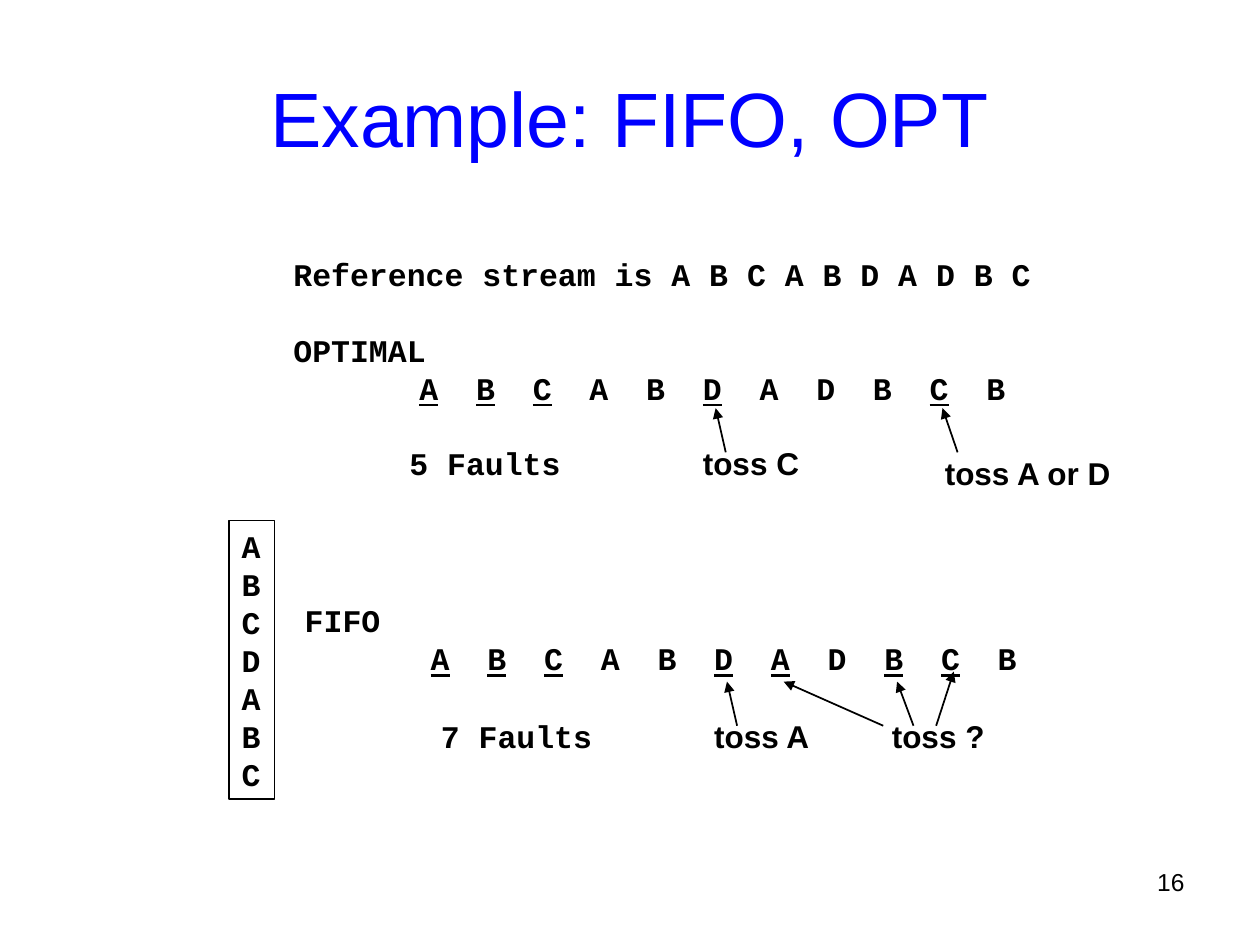
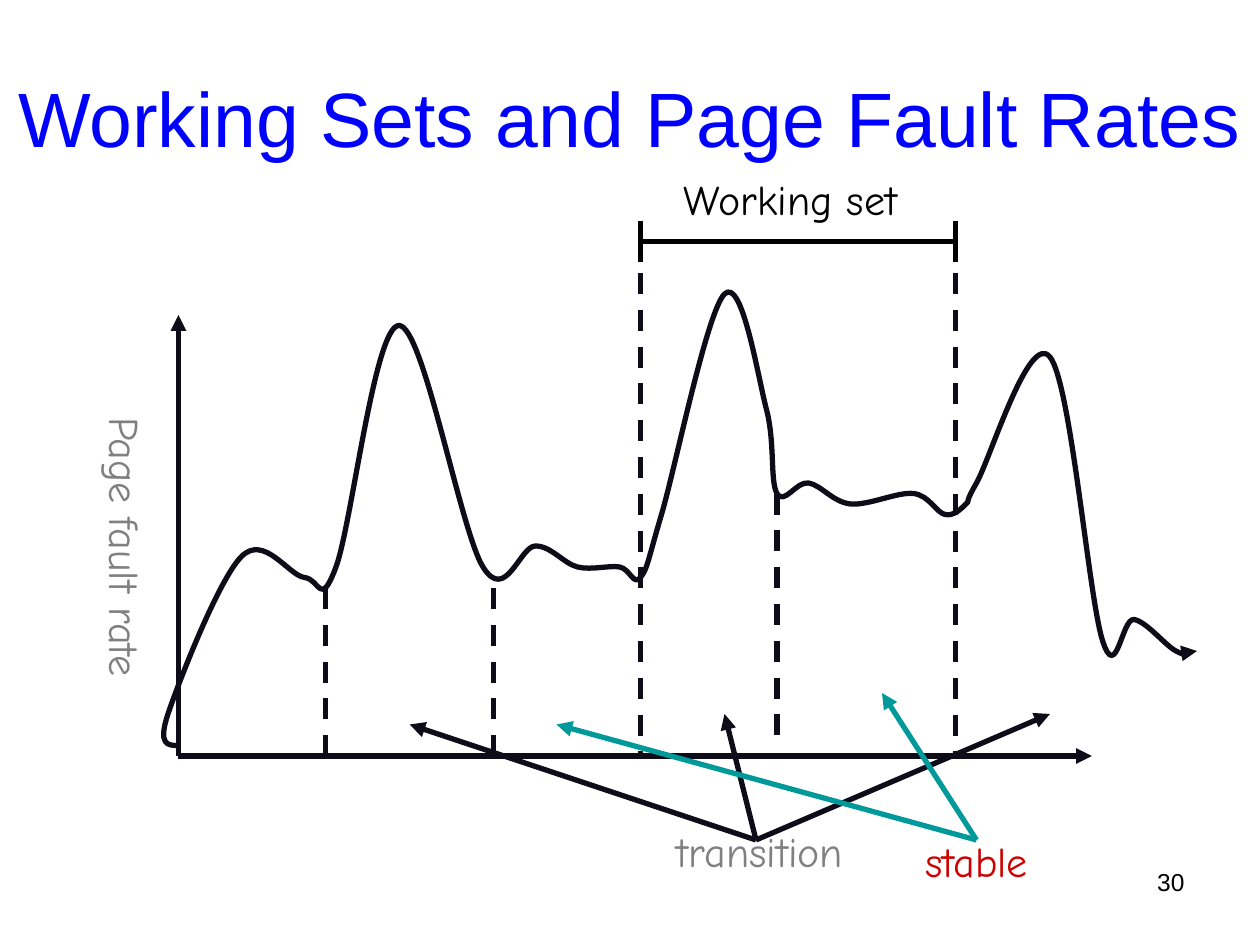
from lxml.etree import SubElement
from pptx import Presentation
from pptx.dml.color import RGBColor
from pptx.enum.dml import MSO_LINE
from pptx.enum.shapes import MSO_CONNECTOR, MSO_SHAPE
from pptx.enum.text import MSO_ANCHOR, MSO_AUTO_SIZE, PP_ALIGN
from pptx.oxml.ns import qn
from pptx.util import Inches, Pt

color = RGBColor.from_string
BLACK, BLUE, INK, GRAY, TEAL, RED = "000000", "0000FF", "0F0C19", "808080", "009999", "CC0000"
MONO, SANS, HAND = "Courier New", "Arial", "Comic Neue"

LINE_PITCH = 21.7      # points from one 18-point line to the next
FIRST_LETTER = 1       # inches from the text edge to the first reference
LETTER_STEP = 0.45     # inches from one reference to the next
CELL = Inches(1 / 12)  # grid of the fault-rate diagram


def write(shape, lines, font, size, hex_color, bold=False, align=PP_ALIGN.LEFT,
          anchor=MSO_ANCHOR.TOP, wrap=False, pitch=None):
    """Write lines; tabs separate columns and a leading _ underlines a part."""
    frame = shape.text_frame
    frame.word_wrap = wrap
    frame.auto_size = MSO_AUTO_SIZE.NONE if wrap else MSO_AUTO_SIZE.SHAPE_TO_FIT_TEXT
    frame.vertical_anchor = anchor
    for index, line in enumerate(lines):
        paragraph = frame.add_paragraph() if index else frame.paragraphs[0]
        paragraph.alignment = align
        if pitch:
            paragraph.line_spacing = Pt(pitch)
        parts = line.split("\t")
        for column, part in enumerate(parts):
            for text in (["\t"] if column else []) + ([part] if part else []):
                run = paragraph.add_run()
                run.text = text.lstrip("_")
                run.font.name, run.font.size, run.font.bold = font, Pt(size), bold
                run.font.color.rgb = color(hex_color)
                run.font.underline = text.startswith("_")
        if len(parts) > 1:
            tabs = SubElement(paragraph._p.get_or_add_pPr(), qn("a:tabLst"))
            for column in range(len(parts) - 1):
                position = Inches(FIRST_LETTER + column * LETTER_STEP)
                SubElement(tabs, qn("a:tab"), pos=str(position), algn="l")


def style_line(shape, hex_color, width, arrow=False, dash=False):
    """Colour an outline or connector, without a shadow."""
    shape.line.color.rgb = color(hex_color)
    shape.line.width = Pt(width)
    if dash:
        shape.line.dash_style = MSO_LINE.DASH
    if arrow:
        SubElement(shape.line._get_or_add_ln(), qn("a:tailEnd"), type="triangle")
    SubElement(shape._element.spPr, qn("a:effectLst"))


presentation = Presentation()
presentation.slide_width, presentation.slide_height = Inches(10), Inches(7.5)

# Shared title and slide number
slides = []
for title, number, margin in [("Example: FIFO, OPT", "16", 0.5),
                              ("Working Sets and Page Fault Rates", "30", 0)]:
    slide = presentation.slides.add_slide(presentation.slide_layouts[6])
    number_box = slide.shapes.add_textbox(Inches(7.17), Inches(6.83), Inches(2.33), Inches(0.52))
    write(number_box, [number], SANS, 14, BLACK, align=PP_ALIGN.RIGHT, wrap=True)
    title_box = slide.shapes.add_textbox(
        Inches(margin), Inches(0.3), Inches(10 - 2 * margin), Inches(1.25))
    write(title_box, [title], SANS, 44, BLUE, align=PP_ALIGN.CENTER,
          anchor=MSO_ANCHOR.MIDDLE, wrap=True)
    slides.append(slide)
replacement, working_sets = slides

# Each policy underlines the references (counted from 0) that fault.
# A toss is its label, left and top, and its arrows: tail x, faulting reference, head y.
references = "ABCABDADBCB"
policies = [
    {"heading": ["Reference stream is A B C A B D A D B C", "OPTIMAL"],
     "left": 2.23, "top": 1.97, "width": 6.05, "faults": [0, 1, 2, 5, 9],
     "count_at": (3.15, 3.47), "tail_y": 3.59,
     "tosses": [("toss C", 5.48, 3.47, [(5.76, 5, 3.24)]),
                ("toss A or D", 7.4, 3.55, [(7.6, 9, 3.24)])]},
    {"heading": ["FIFO"],
     "left": 2.32, "top": 4.72, "width": 5.85, "faults": [0, 1, 2, 5, 6, 8, 9],
     "count_at": (3.4, 5.64), "tail_y": 5.76,
     "tosses": [("toss A", 5.57, 5.64, [(5.85, 5, 5.41)]),
                ("toss ?", 6.98, 5.64, [(7.01, 6, 5.41), (7.25, 8, 5.41), (7.43, 9, 5.33)])]},
]
for policy in policies:
    # Stream, fault count and toss labels
    stream = "".join("\t" + ("_" if index in policy["faults"] else "") + letter
                     for index, letter in enumerate(references))
    fault_count = f"{len(policy['faults'])} Faults"
    texts = [(policy["heading"] + [stream], MONO, policy["left"], policy["top"], policy["width"]),
             ([fault_count], MONO, *policy["count_at"], 1.45)]
    texts += [([label], SANS, left, top, 0.4 + 0.11 * len(label))
              for label, left, top, arrows in policy["tosses"]]
    for lines, font, left, top, width in texts:
        box = replacement.shapes.add_textbox(
            Inches(left), Inches(top), Inches(width), Inches(0.1 + 0.3 * len(lines)))
        write(box, lines, font, 18, BLACK, bold=True, pitch=LINE_PITCH)
        for paragraph in box.text_frame.paragraphs[1:-1]:
            paragraph.space_before = Pt(LINE_PITCH)

    # Arrows from each toss to the references that caused it
    for label, left, top, arrows in policy["tosses"]:
        for tail_x, reference, head_y in arrows:
            head_x = policy["left"] + FIRST_LETTER + 0.2 + reference * LETTER_STEP
            arrow = replacement.shapes.add_connector(
                MSO_CONNECTOR.STRAIGHT, Inches(tail_x), Inches(policy["tail_y"]),
                Inches(head_x), Inches(head_y))
            style_line(arrow, BLACK, 1, arrow=True)

# FIFO queue: the faulting references in order
queue = replacement.shapes.add_shape(
    MSO_SHAPE.RECTANGLE, Inches(1.82), Inches(4.13), Inches(0.36), Inches(2.21))
queue.fill.background()
style_line(queue, BLACK, 1)
queue_letters = [references[index] for index in policies[1]["faults"]]
write(queue, queue_letters, MONO, 18, BLACK, bold=True, pitch=LINE_PITCH)

# Fault-rate curve: a smooth line through these grid points
rates = [(17, 71), (16, 68), (23, 53), (29, 55), (32, 54), (38, 31), (46, 54),
         (51, 52), (55, 54), (59, 54), (61, 55), (63, 49), (69, 28), (73, 39),
         (74, 47), (77, 46), (81, 48), (87, 47), (90, 49), (92, 48), (93, 46),
         (100, 34), (105, 61), (108, 59), (112, 62), (114, 62)]

# Inner handles lie a sixth of the chord between a point's neighbours away
handles_in, handles_out = {}, {}
last = len(rates) - 1
for index in range(1, last):
    (before_x, before_y), (x, y), (after_x, after_y) = rates[index - 1:index + 2]
    reach_x, reach_y = (after_x - before_x) / 6, (after_y - before_y) / 6
    handles_in[index] = (x - reach_x, y - reach_y)
    handles_out[index] = (x + reach_x, y + reach_y)

# End handles lie halfway to the nearest inner handle
handles_out[0] = [(a + b) / 2 for a, b in zip(rates[0], handles_in[1])]
handles_in[last] = [(a + b) / 2 for a, b in zip(rates[last], handles_out[last - 1])]

FINE = 100  # drawing units per cell
builder = working_sets.shapes.build_freeform(
    *[FINE * value for value in rates[0]], scale=CELL / FINE)
for index in range(last):
    bezier_points = [handles_out[index], handles_in[index + 1], rates[index + 1]]
    builder.add_line_segments([(FINE * x, FINE * y) for x, y in bezier_points], close=False)
curve = builder.convert_to_shape()
curve.fill.background()
style_line(curve, INK, 3, arrow=True)

# Turn every three straight steps into one Bézier segment
outline = curve._element.find(".//" + qn("a:path"))
steps = outline.findall(qn("a:lnTo"))
for first in range(0, len(steps), 3):
    bezier = SubElement(outline, qn("a:cubicBezTo"))
    for step in steps[first:first + 3]:
        bezier.append(step[0])
        outline.remove(step)

# Axes, phase limits, working-set bracket and pointers, in grid cells
base = 72
set_start, set_end = 61, 91
axes = [(17, base, 17, 30), (17, base, 104, base)]
limits = [(x, top, x, bottom) for x, top, bottom in [
    (31, 56, base), (47, 56, base), (set_start, 26, base), (74, 47, base - 1),
    (set_end, 26, base)]]
bracket = [(set_start, 23, set_end, 23)] + [(x, 21, x, 25) for x in (set_start, set_end)]
transitions = [(72, 80, x, y) for x, y in [(39, 69), (69, 68), (100, 68)]]
stables = [(93, 80, x, y) for x, y in [(53, 69), (84, 66)]]
for lines, hex_color, arrow, dash in [
    (axes, INK, True, False),
    (limits, INK, False, True),
    (bracket, BLACK, False, False),
    (transitions, INK, True, False),
    (stables, TEAL, True, False),
]:
    for ends in lines:
        connector = working_sets.shapes.add_connector(
            MSO_CONNECTOR.STRAIGHT, *[CELL * end for end in ends])
        style_line(connector, hex_color, 3, arrow, dash)

# Diagram labels
for text, left, top, width, hex_color, rotation in [
    ("Page fault rate", -0.27, 4.09, 2.54, GRAY, 90),
    ("transition", 5.17, 6.5, 1.72, GRAY, 0),
    ("Working set", 5.22, 1.33, 2.11, BLACK, 0),
    ("stable", 7.17, 6.58, 1.16, RED, 0),
]:
    label_box = working_sets.shapes.add_textbox(
        Inches(left), Inches(top), Inches(width), Inches(0.5))
    label_box.rotation = rotation
    write(label_box, [text], HAND, 24, hex_color, align=PP_ALIGN.CENTER,
          anchor=MSO_ANCHOR.MIDDLE)

presentation.save("out.pptx")
